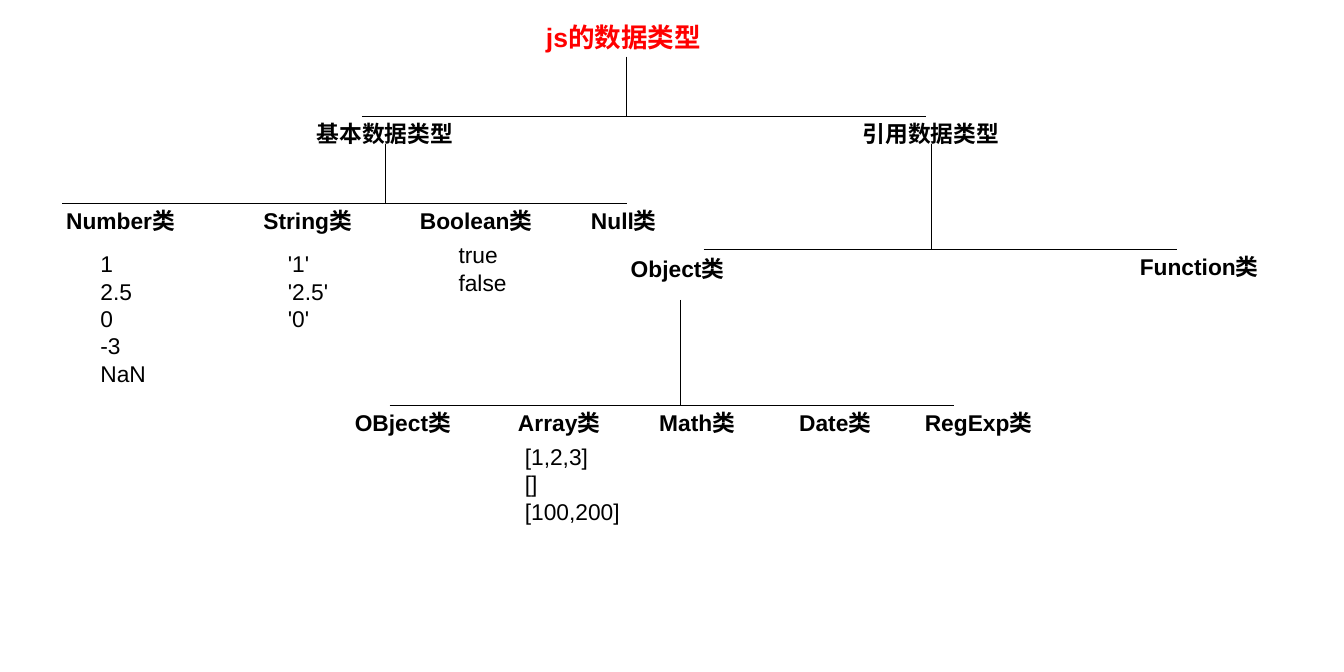
"""Build a one-slide tree of the JavaScript data types."""
from dataclasses import dataclass

from lxml.etree import SubElement
from pptx import Presentation
from pptx.dml.color import RGBColor
from pptx.enum.shapes import MSO_CONNECTOR
from pptx.enum.text import MSO_ANCHOR, MSO_AUTO_SIZE, PP_ALIGN
from pptx.oxml.ns import qn
from pptx.util import Inches, Pt


@dataclass(frozen=True)
class Theme:
    font: str = "Arial"
    title_color: RGBColor = RGBColor(255, 0, 0)
    ink: RGBColor = RGBColor(0, 0, 0)
    title_size: int = 28
    body_size: int = 24
    line_width: float = 0.5
    inset_left: float = 0.1
    inset_right: float = 0
    inset_y: float = 0.05
    line_pitch: float = 1 / 60


THEME = Theme()
WIDTH, HEIGHT = 19.69, 9.84
COLUMN, ROW = WIDTH / 100, HEIGHT / 100

TITLE = ("js的数据类型", 40.12, 13, 2.66)

HEADING_TIERS = [
    (17.28, [("基本数据类型", 23.06, 11.17), ("引用数据类型", 63.69, 11.17)]),
    (30.28, [("Number类", 4.42, 9.5), ("String类", 19.1, 7.97),
             ("Boolean类", 30.74, 9.8), ("Null类", 43.47, 6.3)]),
    (37.4, [("Object类", 46.43, 8.38)]),
    (37.09, [("Function类", 84.31, 10.26)]),
    (60.26, [("OBject类", 25.9, 8.58), ("Array类", 38.04, 7.52),
             ("Math类", 48.55, 7.06), ("Date类", 58.96, 6.75),
             ("RegExp类", 68.31, 9.4)]),
]

EXAMPLES = [
    (["1", "2.5", "0", "-3", "NaN"], 6.97, 4.37, 36.71),
    (["'1'", "'2.5'", "'0'"], 20.92, 4.01, 36.71),
    (["true", "false"], 33.62, 4.57, 35.4),
    (["[1,2,3]", "[]", "[100,200]"], 38.55, 8.08, 65.37),
]

TITLE_BRANCH = (46.62, 8.43, 17.28, 26.92, 68.92)
BRANCHES = [
    (28.64, 21.44, 30.28, 4.62, 46.62),
    (69.3, 21.44, 37.14, 52.36, 87.56),
    (50.6, 44.61, 60.26, 29, 71),
]


def add_text(page, lines, column, width, row, size=THEME.body_size,
             color=THEME.ink, bold=False):
    height = 2 * THEME.inset_y + len(lines) * size * THEME.line_pitch
    box = page.shapes.add_textbox(Inches(column * COLUMN), Inches(row * ROW),
                                  Inches(width * COLUMN), Inches(height))
    frame = box.text_frame
    frame.word_wrap = True
    frame.auto_size = MSO_AUTO_SIZE.NONE
    frame.vertical_anchor = MSO_ANCHOR.TOP
    frame.margin_left = Inches(THEME.inset_left)
    frame.margin_right = Inches(THEME.inset_right)
    frame.margin_top = frame.margin_bottom = Inches(THEME.inset_y)
    for index, line in enumerate(lines):
        para = frame.add_paragraph() if index else frame.paragraphs[0]
        para.alignment = PP_ALIGN.LEFT
        span = para.add_run()
        span.text = line
        span.font.name = THEME.font
        span.font.size = Pt(size)
        span.font.bold = bold
        span.font.color.rgb = color
    return box


def add_line(page, start, end):
    (left, top), (right, bottom) = start, end
    line = page.shapes.add_connector(
        MSO_CONNECTOR.STRAIGHT, Inches(left * COLUMN), Inches(top * ROW),
        Inches(right * COLUMN), Inches(bottom * ROW))
    line.line.color.rgb = THEME.ink
    line.line.width = Pt(THEME.line_width)
    SubElement(line._element.spPr, qn("a:effectLst"))
    return line


def add_branch(page, center, top, bar, left, right):
    stem = add_line(page, (center, top), (center, bar))
    add_line(page, (left, bar), (right, bar))
    return stem


def main():
    deck = Presentation()
    deck.slide_width, deck.slide_height = Inches(WIDTH), Inches(HEIGHT)
    page = deck.slides.add_slide(deck.slide_layouts[6])

    text, column, width, row = TITLE
    title = add_text(page, [text], column, width, row, THEME.title_size,
                     THEME.title_color, bold=True)
    add_branch(page, *TITLE_BRANCH).begin_connect(title, 2)
    for branch in BRANCHES:
        add_branch(page, *branch)

    for row, headings in HEADING_TIERS:
        for text, column, width in headings:
            add_text(page, [text], column, width, row, bold=True)
    for example in EXAMPLES:
        add_text(page, *example)

    deck.save("out.pptx")


if __name__ == "__main__":
    main()
